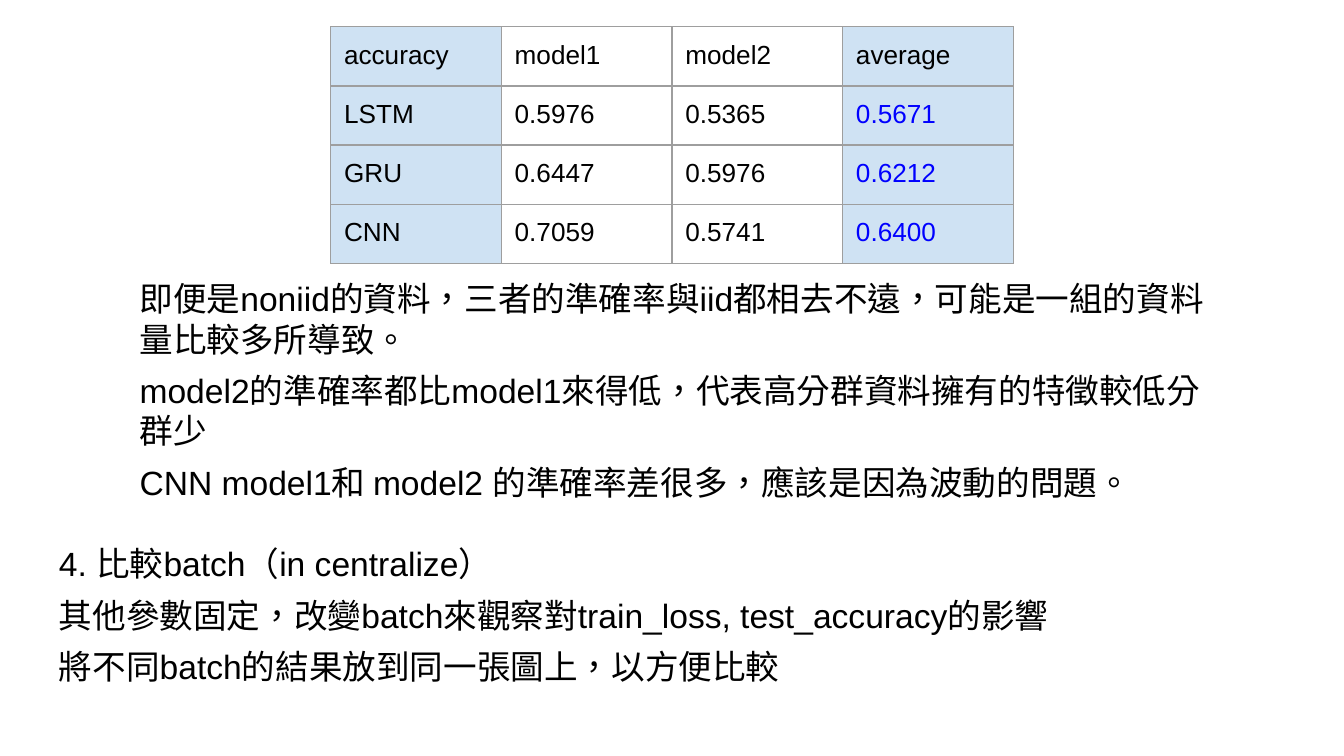
from pptx import Presentation
from pptx.dml.color import RGBColor
from pptx.enum.lang import MSO_LANGUAGE_ID
from pptx.oxml import parse_xml
from pptx.oxml.ns import nsdecls
from pptx.util import Inches, Pt

# Content
ACCURACY = [
    ("accuracy", "model1", "model2", "average"),
    ("LSTM", "0.5976", "0.5365", "0.5671"),
    ("GRU", "0.6447", "0.5976", "0.6212"),
    ("CNN", "0.7059", "0.5741", "0.6400"),
]
FINDINGS = [
    "即便是noniid的資料，三者的準確率與iid都相去不遠，可能是一組的資料量比較多所導致。",
    "model2的準確率都比model1來得低，代表高分群資料擁有的特徵較低分群少",
    "CNN model1和 model2 的準確率差很多，應該是因為波動的問題。",
]
BATCH_COMPARISON = [
    "4. 比較batch（in centralize）",
    "其他參數固定，改變batch來觀察對train_loss, test_accuracy的影響",
    "將不同batch的結果放到同一張圖上，以方便比較",
]
TEXT_BLOCKS = [
    (FINDINGS, (0.94, 1.97, 8.12, 1.97)),
    (BATCH_COMPARISON, (0.34, 3.94, 9.32, 1.34)),
]

THEME = {
    "font": "Arial",
    "ink": RGBColor.from_string("000000"),
    "average": RGBColor.from_string("0000FF"),
    "shade": RGBColor.from_string("CFE2F3"),
    "border": "9E9E9E",
    "border_width": Pt(0.75),
    "cell_size": Pt(14),
    "body_size": Pt(18),
    "gap": Pt(6),
    "inset": Inches(0.1),
}
SLIDE_WIDTH = 10
SLIDE_HEIGHT = SLIDE_WIDTH * 9 / 16
TABLE_LEFT, TABLE_TOP = 2.46, 0.2
COLUMN_WIDTH, ROW_HEIGHT = 1.27, 0.44


def style(paragraph, size, color):
    paragraph.font.name = THEME["font"]
    paragraph.font.size = size
    paragraph.font.color.rgb = color


def set_insets(holder):
    for side in ("left", "top", "right", "bottom"):
        setattr(holder, f"margin_{side}", THEME["inset"])


def add_borders(cell):
    properties = cell._tc.get_or_add_tcPr()
    for edge in ("lnL", "lnR", "lnT", "lnB"):
        properties.append(parse_xml(
            f'<a:{edge} {nsdecls("a")} w="{THEME["border_width"]}"><a:solidFill>'
            f'<a:srgbClr val="{THEME["border"]}"/></a:solidFill></a:{edge}>'))


def add_accuracy_table(slide):
    row_count, column_count = len(ACCURACY), len(ACCURACY[0])
    table = slide.shapes.add_table(
        row_count, column_count, Inches(TABLE_LEFT), Inches(TABLE_TOP),
        Inches(COLUMN_WIDTH * column_count), Inches(ROW_HEIGHT * row_count)).table
    table.first_row = table.horz_banding = False
    for column in table.columns:
        column.width = Inches(COLUMN_WIDTH)
    for row in table.rows:
        row.height = Inches(ROW_HEIGHT)

    last = column_count - 1
    for r, values in enumerate(ACCURACY):
        for c, value in enumerate(values):
            cell = table.cell(r, c)
            cell.text = value
            set_insets(cell)
            add_borders(cell)
            # The outer columns are shaded; averages are blue
            if c in (0, last):
                cell.fill.solid()
                cell.fill.fore_color.rgb = THEME["shade"]
            else:
                cell.fill.background()
            color = THEME["average"] if r > 0 and c == last else THEME["ink"]
            style(cell.text_frame.paragraphs[0], THEME["cell_size"], color)


def add_text_block(slide, lines, box):
    frame = slide.shapes.add_textbox(*map(Inches, box)).text_frame
    frame.word_wrap = True
    set_insets(frame)
    frame.text = "\n".join(lines)
    for i, paragraph in enumerate(frame.paragraphs):
        style(paragraph, THEME["body_size"], THEME["ink"])
        paragraph.space_before = THEME["gap"] if i else Pt(0)
        # Traditional Chinese centres its punctuation marks
        for run in paragraph.runs:
            run.font.language_id = MSO_LANGUAGE_ID.TRADITIONAL_CHINESE
    frame.paragraphs[-1].space_after = THEME["gap"]


def main():
    deck = Presentation()
    deck.slide_width, deck.slide_height = Inches(SLIDE_WIDTH), Inches(SLIDE_HEIGHT)
    slide = deck.slides.add_slide(deck.slide_layouts.get_by_name("Blank"))
    add_accuracy_table(slide)
    for lines, box in TEXT_BLOCKS:
        add_text_block(slide, lines, box)
    deck.save("out.pptx")


if __name__ == "__main__":
    main()
